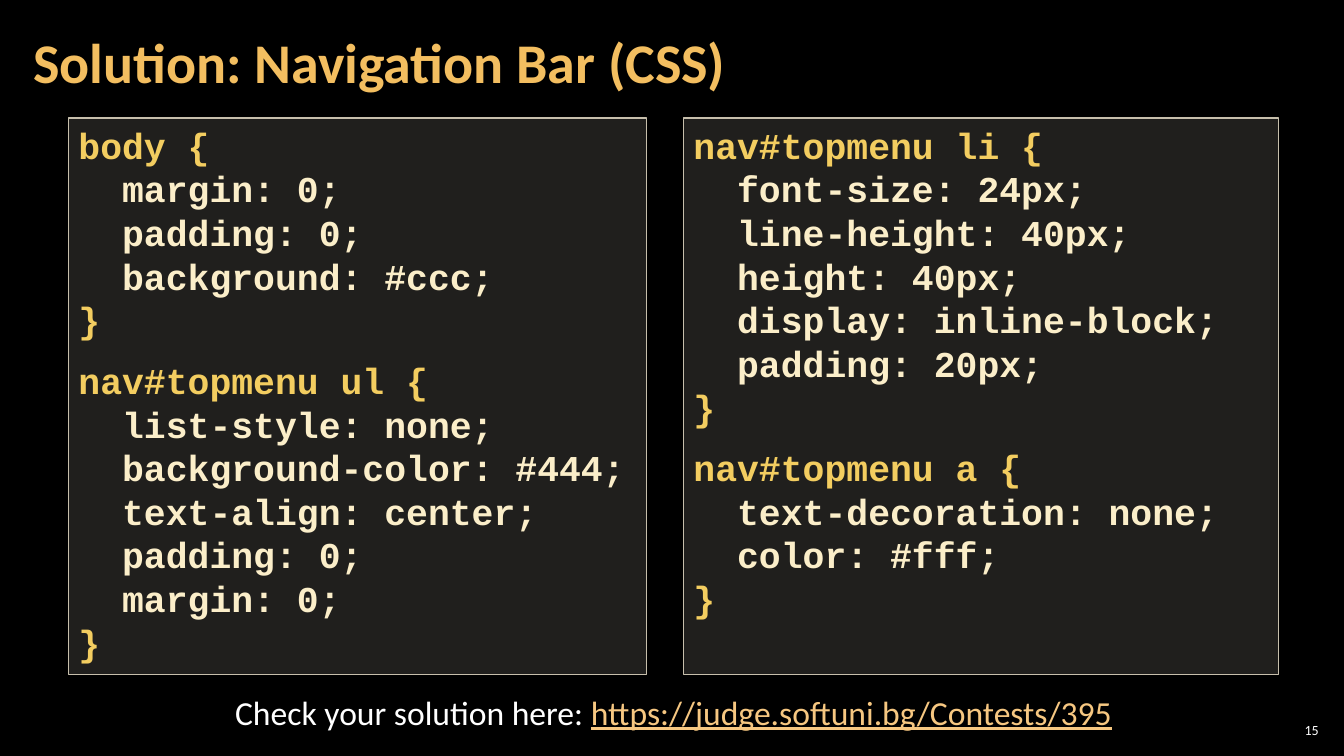
import pptx
import pptx.dml.color
import pptx.enum.text
import pptx.oxml
import pptx.oxml.ns
import pptx.util

WIDTH, HEIGHT = 13.33, 7.5
MARGIN = 0.68
CODE_TOP, CODE_HEIGHT = 1.17, 5.52
SELECTOR, RULE = "F3CD60", "FBEEC9"
ALIGN = pptx.enum.text.PP_ALIGN
ANCHOR = pptx.enum.text.MSO_ANCHOR

LEFT_CODE = """body {
  margin: 0;
  padding: 0;
  background: #ccc;
}
nav#topmenu ul {
  list-style: none;
  background-color: #444;
  text-align: center;
  padding: 0;
  margin: 0;
}"""
RIGHT_CODE = """nav#topmenu li {
  font-size: 24px;
  line-height: 40px;
  height: 40px;
  display: inline-block;
  padding: 20px;
}
nav#topmenu a {
  text-decoration: none;
  color: #fff;
}"""


def rgb(hex_string):
    return pptx.dml.color.RGBColor.from_string(hex_string)


def inches(*lengths):
    return [pptx.util.Inches(length) for length in lengths]


def write(paragraph, text, size, color, font="Calibri", bold=False,
          underline=False, align=ALIGN.LEFT):
    paragraph.alignment = align
    run = paragraph.add_run()
    run.text = text
    run.font.name = font
    run.font.size = pptx.util.Pt(size)
    run.font.bold = bold
    run.font.underline = underline
    run.font.color.rgb = rgb(color)


def set_frame(frame, anchor, side=0.1, edge=0.05):
    frame.word_wrap = True
    frame.auto_size = pptx.enum.text.MSO_AUTO_SIZE.NONE
    frame.vertical_anchor = anchor
    frame.margin_left, frame.margin_right = inches(side, side)
    frame.margin_top, frame.margin_bottom = inches(edge, edge)


def add_title(slide, text, box):
    title = slide.shapes.title
    title.left, title.top, title.width, title.height = inches(*box)
    set_frame(title.text_frame, ANCHOR.MIDDLE, 0.12, 0.04)
    heading = title.text_frame.paragraphs[0]
    heading.line_spacing = 0.9
    write(heading, text, 40, "F3BE60", bold=True)


def add_code(slide, code, box):
    """Framed listing: indented lines are rules, the others are selectors."""
    panel = slide.shapes.add_shape(
        pptx.enum.shapes.MSO_SHAPE.RECTANGLE, *inches(*box))
    panel.shadow.inherit = False
    panel.fill.solid()
    panel.fill.fore_color.rgb = rgb("D9D5C7")
    tint = panel.fill._xPr.find(".//" + pptx.oxml.ns.qn("a:srgbClr"))
    tint.append(pptx.oxml.parse_xml(
        f'<a:alpha {pptx.oxml.ns.nsdecls("a")} val="15000"/>'))
    panel.line.color.rgb = rgb("C7BFAC")
    panel.line.width = pptx.util.Pt(1)
    frame = panel.text_frame
    set_frame(frame, ANCHOR.TOP)
    for number, line in enumerate(code.split("\n")):
        paragraph = frame.add_paragraph() if number else frame.paragraphs[0]
        if number and line.endswith("{"):
            paragraph.space_before = pptx.util.Pt(12)
        write(paragraph, line, 26, RULE if line.startswith(" ") else SELECTOR,
              font="Courier New", bold=True)


def add_line(slide, parts, box, size, align, **margins):
    """One line of text made of (text, format) parts."""
    frame = slide.shapes.add_textbox(*inches(*box)).text_frame
    set_frame(frame, ANCHOR.MIDDLE, **margins)
    for text, look in parts:
        write(frame.paragraphs[0], text, size, align=align, **look)


def build_solution_slide(deck):
    slide = deck.slides.add_slide(deck.slide_layouts.get_by_name("Title Only"))
    slide.background.fill.solid()
    slide.background.fill.fore_color.rgb = rgb("000000")
    add_title(slide, "Solution: Navigation Bar (CSS)", (0.21, 0.04, 10.47, 1.21))
    add_code(slide, LEFT_CODE, (MARGIN, CODE_TOP, 5.73, CODE_HEIGHT))
    add_code(slide, RIGHT_CODE, (6.78, CODE_TOP, 5.9, CODE_HEIGHT))
    add_line(slide, [
        ("Check your solution here: ", {"color": "FFFFFF"}),
        ("https://judge.softuni.bg/Contests/395",
         {"color": "F6C781", "underline": True}),
    ], (MARGIN, 6.81, 12, 0.5), 24, ALIGN.CENTER)
    add_line(slide, [("15", {"color": "FFFFFF"})], (12.65, 7.14, 0.47, 0.21),
             10, ALIGN.RIGHT, side=0.04, edge=0.04)


def main():
    deck = pptx.Presentation()
    deck.slide_width, deck.slide_height = inches(WIDTH, HEIGHT)
    build_solution_slide(deck)
    deck.save("out.pptx")


if __name__ == "__main__":
    import pptx.enum.shapes
    main()
